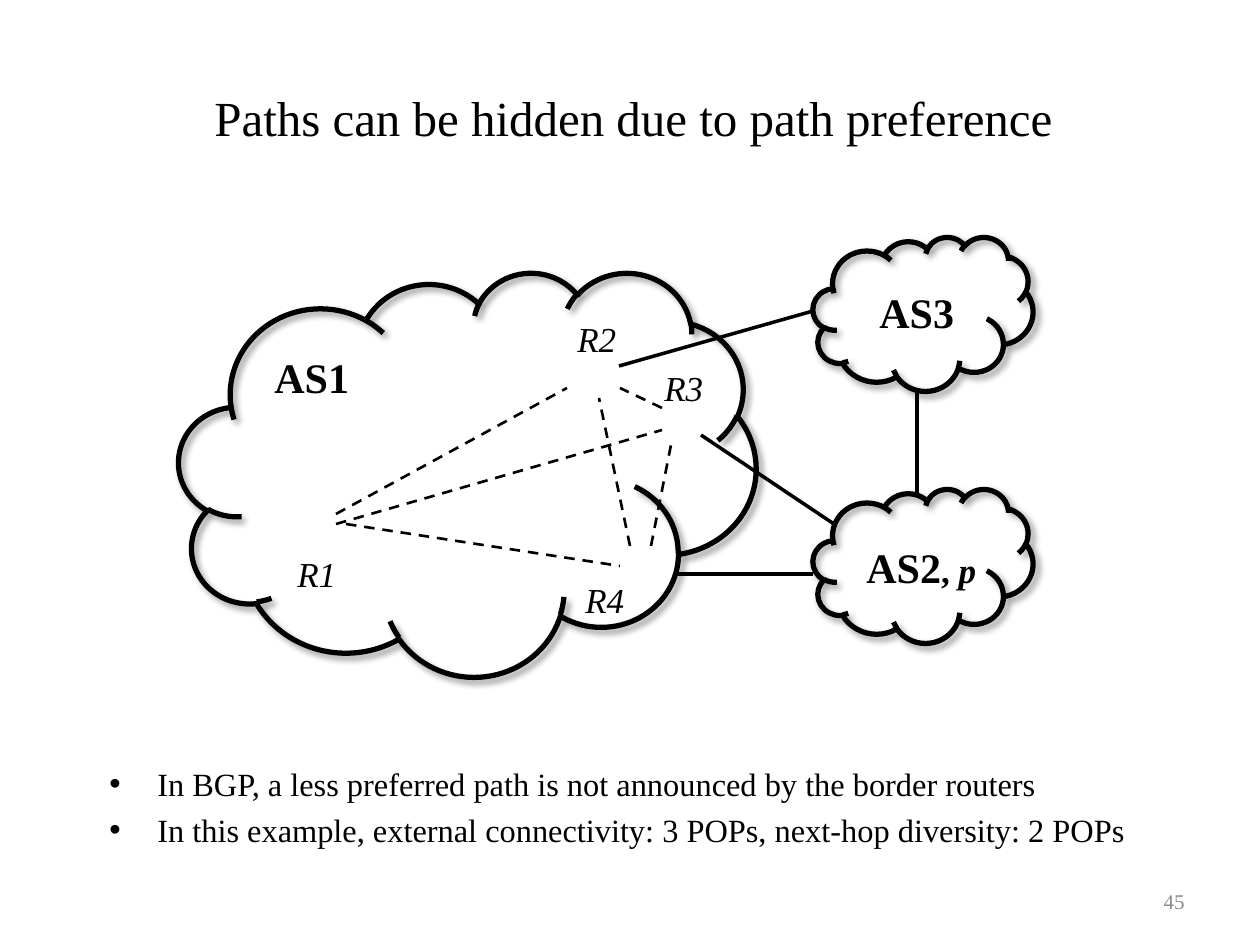
import lxml.etree
import pptx
import pptx.dml.color
import pptx.enum.dml
import pptx.enum.shapes
import pptx.enum.text
import pptx.oxml.ns
import pptx.util

Align = pptx.enum.text.PP_ALIGN
Anchor = pptx.enum.text.MSO_ANCHOR
AutoSize = pptx.enum.text.MSO_AUTO_SIZE
qn = pptx.oxml.ns.qn

THEME = {
    "font": "Times New Roman",
    "ink": "000000",
    "muted": "8C8C8C",
    "title": 28,
    "body": 18.5,
    "system": 24,
    "router": 20,
    "number": 12,
    "cloud_line": 3,
    "link_line": 2,
    "mesh_line": 1.5,
}
SLIDE_SIZE = (1260, 945)
BULLET_INDENT = 48

TITLE = ("Paths can be hidden due to path preference", (35, 38, 1197, 157))
BULLETS = (
    [
        "In BGP, a less preferred path is not announced by the border routers",
        "In this example, external connectivity: 3 POPs, next-hop diversity: 2 POPs",
    ],
    (97, 758, 1072, 118),
)
SLIDE_NUMBER = ("45", (903, 876, 294, 50))

CLOUDS = [(179, 272, 577, 404), (813, 489, 220, 154), (813, 237, 220, 154)]
SYSTEMS = [
    ([("AS1", {})], (262, 345, 101, 63)),
    (
        [
            ("AS2", {}),
            (", ", {"size": THEME["router"]}),
            ("p", {"size": THEME["router"], "italic": True}),
        ],
        (854, 535, 136, 63),
    ),
    ([("AS3", {})], (867, 280, 101, 63)),
]
ROUTERS = [("R1", 285, 546), ("R2", 565, 311), ("R3", 652, 360), ("R4", 573, 572)]
ROUTER_SIZE = (64, 55)
LINKS = [
    (701, 435, 834, 524),
    (813, 574, 675, 574),
    (619, 366, 813, 311),
    (917, 391, 917, 493),
]
MESH = [
    (336, 514, 567, 388),
    (346, 524, 620, 566),
    (336, 524, 662, 430),
    (662, 408, 620, 388),
    (651, 546, 672, 440),
    (630, 546, 599, 398),
]


def px(value):
    return round(value * 914400 / 126)


def color(name):
    return pptx.dml.color.RGBColor.from_string(THEME[name])


def add_run(paragraph, text, size, ink="ink", **formats):
    run = paragraph.add_run()
    run.text = text
    values = {"name": THEME["font"], "size": size, **formats}
    values["size"] = pptx.util.Pt(values["size"])
    for name, value in values.items():
        setattr(run.font, name, value)
    run.font.color.rgb = color(ink)


def add_text_frame(slide, box, **formats):
    frame = slide.shapes.add_textbox(*map(px, box)).text_frame
    for name, value in {"word_wrap": True, **formats}.items():
        setattr(frame, name, value)
    return frame


def add_label(slide, runs, box, size, **formats):
    frame = add_text_frame(
        slide, box, word_wrap=False, auto_size=AutoSize.SHAPE_TO_FIT_TEXT
    )
    for text, changes in runs:
        add_run(frame.paragraphs[0], text, **{"size": size, **formats, **changes})


def add_bullets(slide, texts, box):
    frame = add_text_frame(slide, box)
    for index, text in enumerate(texts):
        paragraph = frame.add_paragraph() if index else frame.paragraphs[0]
        properties = paragraph._p.get_or_add_pPr()
        properties.set("marL", str(px(BULLET_INDENT)))
        properties.set("indent", str(-px(BULLET_INDENT)))
        if index:
            paragraph.space_before = pptx.util.Pt(4)
        lxml.etree.SubElement(properties, qn("a:buFont")).set("typeface", "Arial")
        lxml.etree.SubElement(properties, qn("a:buChar")).set("char", "•")
        add_run(paragraph, text, THEME["body"])


def add_cloud(slide, box):
    kind = pptx.enum.shapes.MSO_SHAPE.CLOUD
    cloud = slide.shapes.add_shape(kind, *map(px, box))
    cloud.fill.background()
    cloud.line.color.rgb = color("ink")
    cloud.line.width = pptx.util.Pt(THEME["cloud_line"])
    cloud.shadow.inherit = False
    effects = cloud._element.spPr.find(qn("a:effectLst"))
    shadow = lxml.etree.SubElement(effects, qn("a:outerShdw"))
    for name, value in {
        "blurRad": pptx.util.Pt(4),
        "dist": pptx.util.Pt(3),
        "dir": 45 * 60000,
        "algn": "tl",
        "rotWithShape": 0,
    }.items():
        shadow.set(name, str(value))
    shade = lxml.etree.SubElement(shadow, qn("a:srgbClr"))
    shade.set("val", THEME["ink"])
    lxml.etree.SubElement(shade, qn("a:alpha")).set("val", "40000")


def add_line(shapes, ends, width, dash=None):
    kind = pptx.enum.shapes.MSO_CONNECTOR.STRAIGHT
    connector = shapes.add_connector(kind, *map(px, ends))
    connector.line.color.rgb = color("ink")
    connector.line.width = pptx.util.Pt(width)
    if dash:
        connector.line.dash_style = dash
    lxml.etree.SubElement(connector._element.spPr, qn("a:effectLst"))


def add_single_line(slide, text, box, align, size, ink):
    frame = add_text_frame(slide, box, vertical_anchor=Anchor.MIDDLE)
    frame.paragraphs[0].alignment = align
    add_run(frame.paragraphs[0], text, size, ink)


def main():
    presentation = pptx.Presentation()
    presentation.slide_width, presentation.slide_height = map(px, SLIDE_SIZE)
    slide = presentation.slides.add_slide(presentation.slide_layouts[6])

    add_single_line(slide, *TITLE, Align.CENTER, THEME["title"], "ink")
    add_bullets(slide, *BULLETS)
    add_single_line(slide, *SLIDE_NUMBER, Align.RIGHT, THEME["number"], "muted")

    for box in CLOUDS:
        add_cloud(slide, box)
    for ends in LINKS:
        add_line(slide.shapes, ends, THEME["link_line"])
    mesh = slide.shapes.add_group_shape()
    for ends in MESH:
        dash = pptx.enum.dml.MSO_LINE.DASH
        add_line(mesh.shapes, ends, THEME["mesh_line"], dash)
    for runs, box in SYSTEMS:
        add_label(slide, runs, box, THEME["system"], bold=True)
    for name, left, top in ROUTERS:
        box = (left, top, *ROUTER_SIZE)
        add_label(slide, [(name, {})], box, THEME["router"], italic=True)

    presentation.save("out.pptx")


if __name__ == "__main__":
    main()
